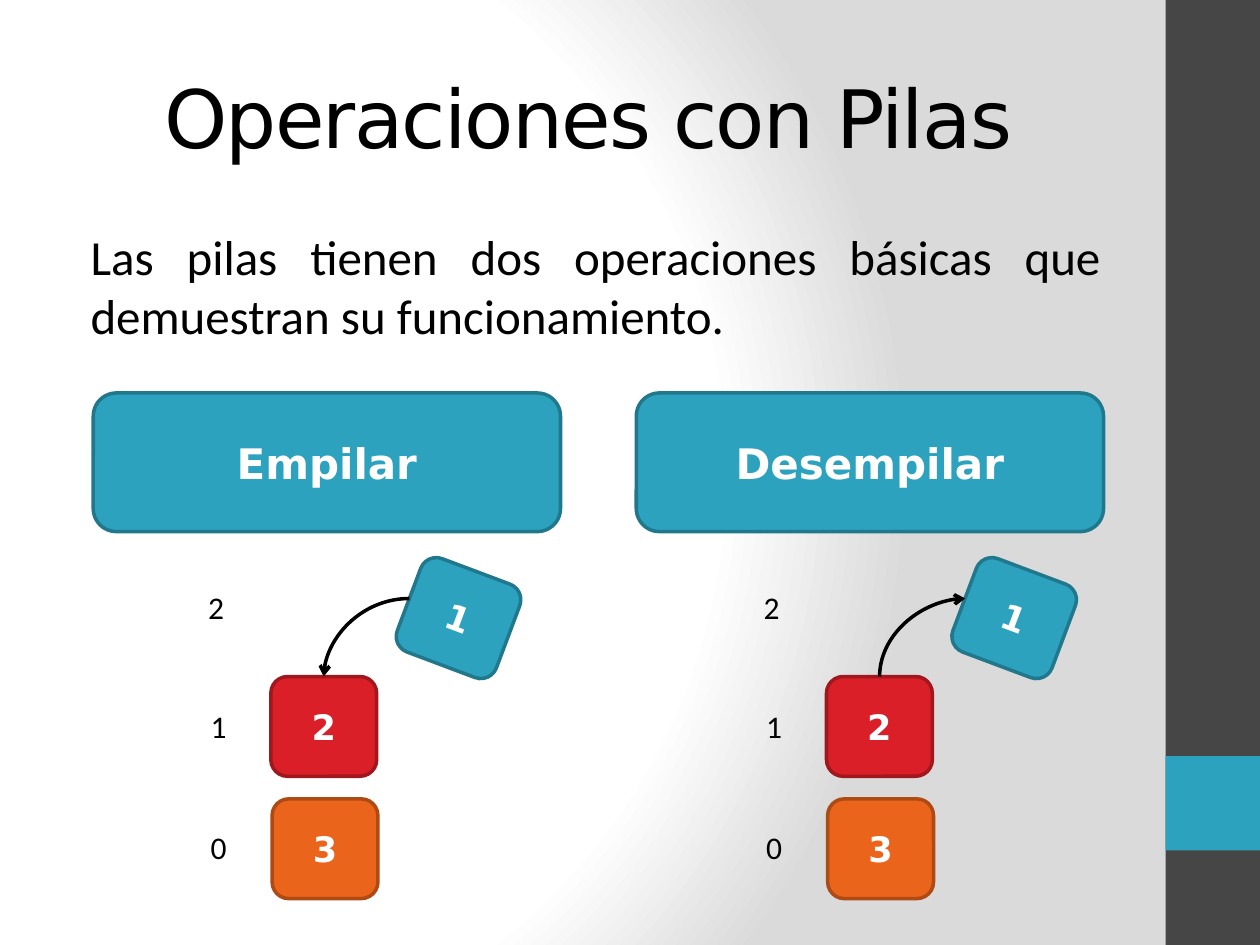
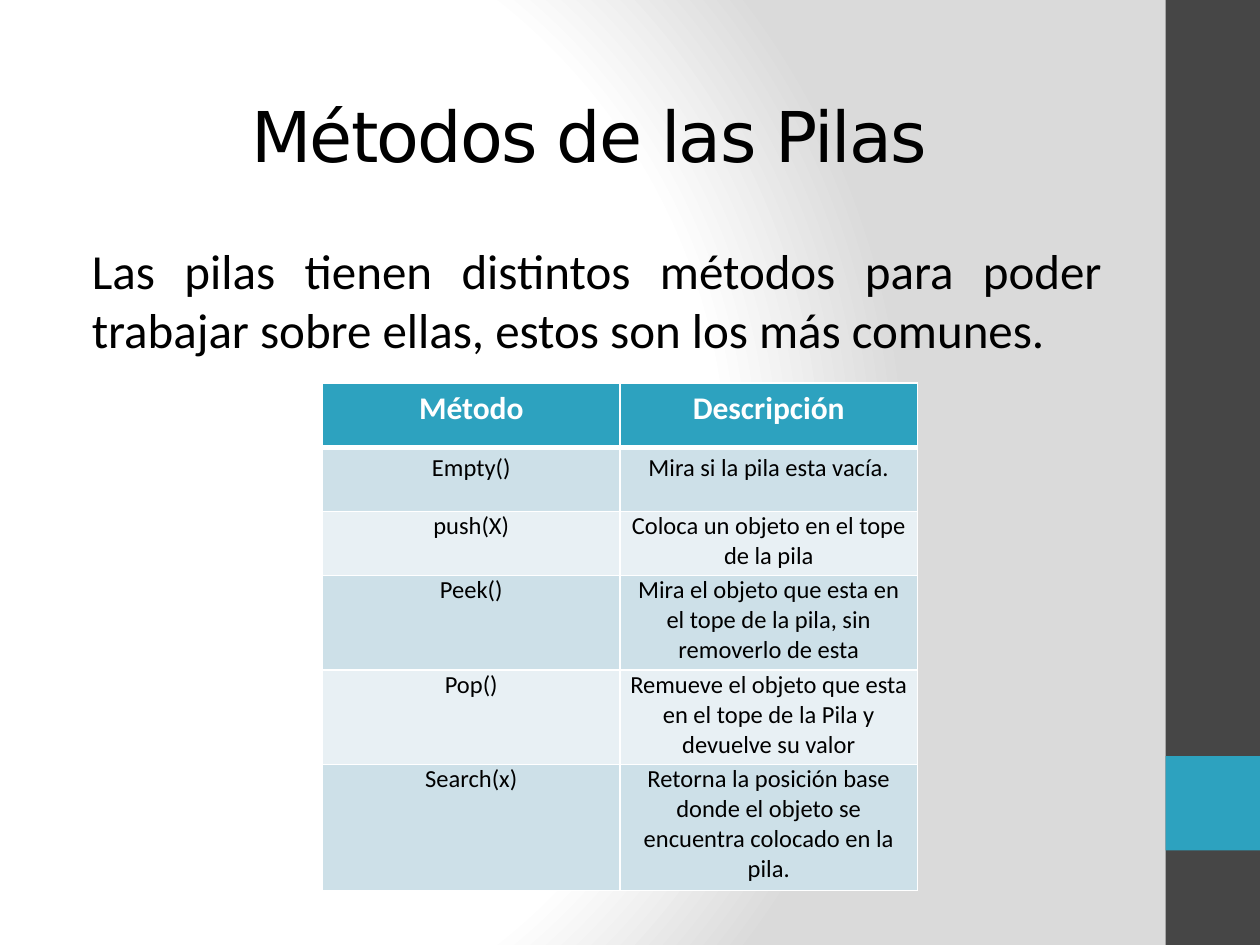
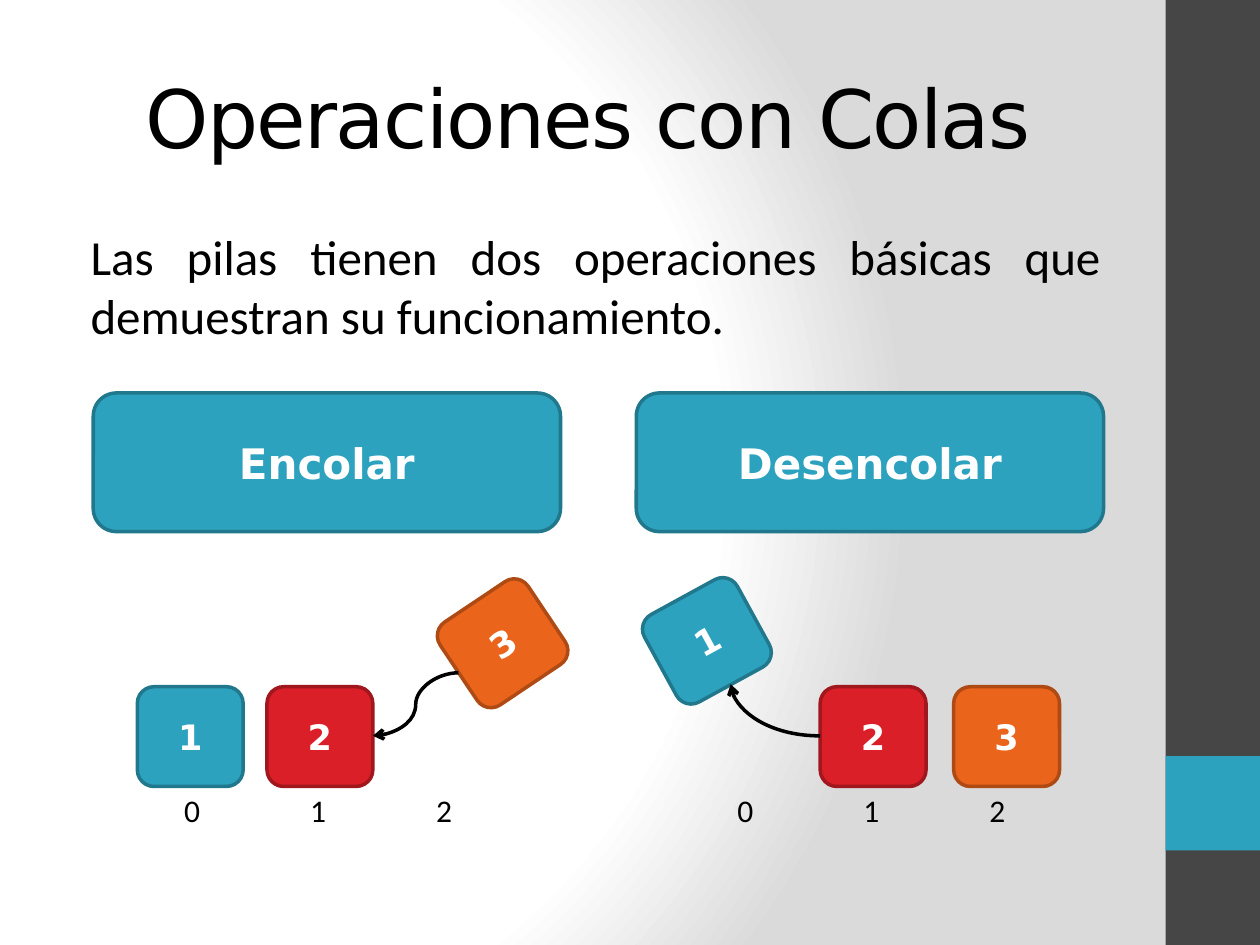
from dataclasses import dataclass
from lxml import etree
from pptx import Presentation
from pptx.dml import color
from pptx.enum import shapes, text
from pptx.oxml import ns, parse_xml
from pptx.util import Pt


@dataclass(frozen=True)
class Theme:
    head: str = "DejaVu Sans"
    body: str = "Calibri"
    black: str = "000000"
    white: str = "FFFFFF"
    gray: str = "DADADA"
    dark: str = "464646"
    blue: tuple = ("2DA2BF", "21788D")
    red: tuple = ("DA1F28", "A1171E")
    orange: tuple = ("EB641B", "AE4A14")
    bands: tuple = ("E8F0F4", "CDE0E8")
    title: int = 46
    small: int = 40
    lead: int = 28
    banner: int = 24
    block: int = 20
    label: int = 18
    cell: int = 14
    line: int = 2


T = Theme()
SIZE = (720, 540)
BLOCK = (60.5, 57)
LABEL = (62.6, 28.8)
HUES = {"1": T.blue, "2": T.red, "3": T.orange}
LEAD = "Las pilas tienen dos operaciones básicas que demuestran su funcionamiento."

STACK = {
    "title": "Operaciones con Pilas",
    "heads": ["Empilar", "Desempilar"],
    "blocks": [("1", x + 231.8, 324.7, 20.6) for x in (0, 317.5)]
    + [("2", x + 154.8, 386.6, 0) for x in (0, 317.5)]
    + [("3", x + 155.5, 456.5, 0) for x in (0, 317.5)],
    "labels": [(n, x + dx, y) for x in (0, 317.5) for n, dx, y in
               [("2", 92.2, 332.6), ("1", 93.6, 400.3), ("0", 93.6, 469.4)]],
    "arrows": [((234, 342), (185, 386.6), "across"),
               ((502.6, 386.6), (551.5, 342), "up")],
}
QUEUE = {
    "title": "Operaciones con Colas",
    "heads": ["Encolar", "Desencolar"],
    "blocks": [("1", 78.5, 392.4, 0), ("2", 152.6, 392.4, 0),
               ("3", 257, 339.1, 326.2), ("1", 373.7, 337.7, 331.3),
               ("2", 468.7, 392.4, 0), ("3", 545, 392.4, 0)],
    "labels": [(str(i), x + 72 * i, 448.6) for x in (78.5, 394.6) for i in range(3)],
    "arrows": [((468.7, 420.5), (417.6, 391), "across"),
               ((262, 384.5), (213.1, 420.5), "bend")],
}
METHODS = {
    "title": "Métodos de las Pilas",
    "lead": "Las pilas tienen distintos métodos para poder trabajar sobre ellas, "
            "estos son los más comunes.",
    "rows": [
        ("Método", "Descripción", 36.7),
        ("Empty()", "Mira si la pila esta vacía.", 36.7),
        ("push(X)", "Coloca un objeto en el tope de la pila", 36.7),
        ("Peek()", "Mira el objeto que esta en el tope de la pila, sin removerlo de esta", 54),
        ("Pop()", "Remueve el objeto que esta en el tope de la Pila y devuelve su valor", 54),
        ("Search(x)", "Retorna la posición base donde el objeto se encuentra "
                      "colocado en la pila.", 72),
    ],
}


def rgb(hue):
    return color.RGBColor.from_string(hue)


def write(par, words, size, font, hue=T.black, bold=False, align="CENTER"):
    par.alignment = getattr(text.PP_ALIGN, align)
    run = par.add_run()
    run.text = words
    run.font.size = Pt(size)
    run.font.name = font
    run.font.bold = bold
    run.font.color.rgb = rgb(hue)
    return run


def shape(slide, kind, box, fill, edge=None):
    form = slide.shapes.add_shape(kind, *map(Pt, box))
    form.shadow.inherit = False
    form.fill.solid()
    form.fill.fore_color.rgb = rgb(fill)
    if edge:
        form.line.color.rgb = rgb(edge)
        form.line.width = Pt(T.line)
    else:
        form.line.fill.background()
    return form


def button(slide, box, words, size, hues, turn=0):
    form = shape(slide, shapes.MSO_SHAPE.ROUNDED_RECTANGLE, box, *hues)
    form.rotation = turn
    frame = form.text_frame
    frame.vertical_anchor = text.MSO_ANCHOR.MIDDLE
    write(frame.paragraphs[0], words, size, T.head, T.white, True)


def textbox(slide, box):
    frame = slide.shapes.add_textbox(*map(Pt, box)).text_frame
    frame.word_wrap = True
    return frame


def arrow(slide, start, end, way):
    flip = way == "up"
    if flip:
        mid = [(a + b) / 2 for a, b in zip(start, end)]
        half = [abs(b - a) / 2 for a, b in zip(start, end)][::-1]
        start = [m + h for m, h in zip(mid, half)]
        end = [m - h for m, h in zip(mid, half)]
    link = slide.shapes.add_connector(shapes.MSO_CONNECTOR.CURVE, *map(Pt, (*start, *end)))
    link.line.color.rgb = rgb(T.black)
    link.line.width = Pt(T.line)
    props = link._element.spPr
    if way != "bend":
        props.find(ns.qn("a:prstGeom")).set("prst", "curvedConnector2")
    if flip:
        link.rotation = 90
        props.find(ns.qn("a:xfrm")).set("rot", "5400000")
    etree.SubElement(props.find(ns.qn("a:ln")), ns.qn("a:tailEnd")).set("type", "arrow")
    etree.SubElement(props, ns.qn("a:effectLst"))


def backdrop(master):
    master.background.fill.solid()
    old = master.element.find(".//" + ns.qn("a:solidFill"))
    stops = "".join(f'<a:gs pos="{p}000"><a:srgbClr val="{c}"/></a:gs>'
                    for p, c in [(0, T.white), (75, T.white), (100, T.gray)])
    old.getparent().replace(old, parse_xml(
        f'<a:gradFill {ns.nsdecls("a")} rotWithShape="1"><a:gsLst>{stops}</a:gsLst>'
        '<a:path path="circle"><a:fillToRect l="20000" t="50000" r="100000" b="50000"/>'
        '</a:path></a:gradFill>'))


def page(deck, title, lead, size=T.title, left=36, top=21.6, drop=104.4):
    slide = deck.slides.add_slide(deck.slide_layouts[6])
    for y, h, hue in [(0, 540, T.dark), (432, 54, T.blue[0])]:
        shape(slide, shapes.MSO_SHAPE.RECTANGLE, (666, y, 54, h), hue)
    frame = textbox(slide, (left, top, 600, 90))
    frame.vertical_anchor = text.MSO_ANCHOR.MIDDLE
    run = write(frame.paragraphs[0], title, size, T.head)
    run.font._element.set("spc", "-100")
    par = textbox(slide, (left, top + drop, 600, 70.6)).paragraphs[0]
    write(par, lead, T.lead, T.body, align="JUSTIFY")
    par.space_before = Pt(5.6)
    par._p.get_or_add_pPr().set("marL", str(Pt(8.64)))
    return slide


def moves(deck, data):
    slide = page(deck, data["title"], LEAD)
    for i, words in enumerate(data["heads"]):
        button(slide, (53.3 + 310.3 * i, 224.6, 267, 79.2), words, T.banner, T.blue)
    for name, x, y, turn in data["blocks"]:
        button(slide, (x, y, *BLOCK), name, T.block, HUES[name], turn)
    for name, x, y in data["labels"]:
        frame = textbox(slide, (x, y, *LABEL))
        frame.auto_size = text.MSO_AUTO_SIZE.SHAPE_TO_FIT_TEXT
        write(frame.paragraphs[0], name, T.label, T.body)
    for start, end, way in data["arrows"]:
        arrow(slide, start, end, way)


def border(cell, head):
    props = cell._tc.get_or_add_tcPr()
    for i, side in enumerate("LRTB"):
        wide = 3 if head and side == "B" else 1
        props.insert(i, parse_xml(
            f'<a:ln{side} {ns.nsdecls("a")} w="{Pt(wide)}"><a:solidFill>'
            f'<a:srgbClr val="{T.white}"/></a:solidFill></a:ln{side}>'))


def methods(deck, data):
    slide = page(deck, data["title"], data["lead"], T.small, 36.7, 31.7, 102.2)
    rows = data["rows"]
    grid = slide.shapes.add_table(len(rows), 2, Pt(184.3), Pt(218.9), Pt(340),
                                  Pt(sum(r[2] for r in rows))).table
    for col in grid.columns:
        col.width = Pt(170)
    for i, (*words, high) in enumerate(rows):
        grid.rows[i].height = Pt(high)
        head = i == 0
        for j, word in enumerate(words):
            cell = grid.cell(i, j)
            cell.fill.solid()
            cell.fill.fore_color.rgb = rgb(T.blue[0] if head else T.bands[i % 2])
            par = cell.text_frame.paragraphs[0]
            write(par, word, T.label if head else T.cell, T.body,
                  T.white if head else T.black, head)
            if i > 1:
                cell.margin_left = cell.margin_right = Pt(5)
                cell.margin_top = cell.margin_bottom = 0
                par.space_before = par.space_after = Pt(6)
            border(cell, head)


deck = Presentation()
deck.slide_width, deck.slide_height = map(Pt, SIZE)
backdrop(deck.slide_master)
moves(deck, STACK)
methods(deck, METHODS)
moves(deck, QUEUE)
deck.save("out.pptx")
